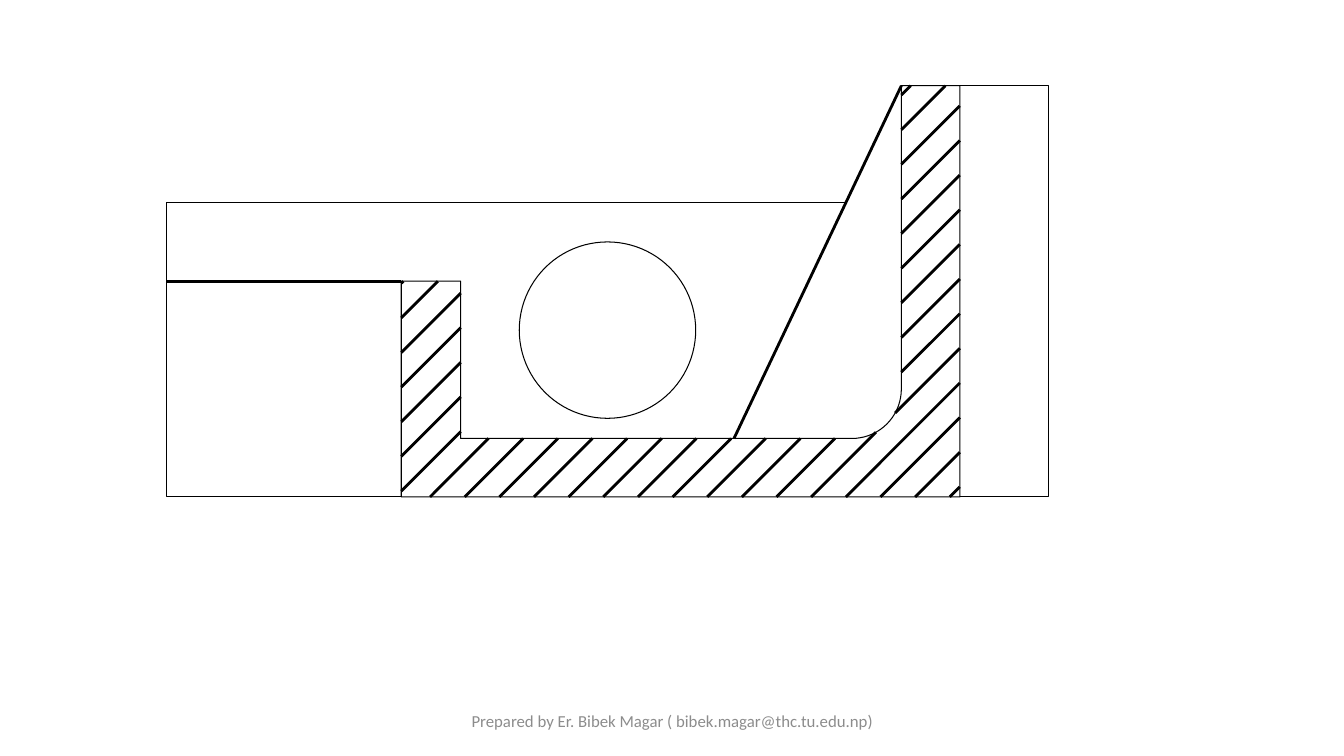
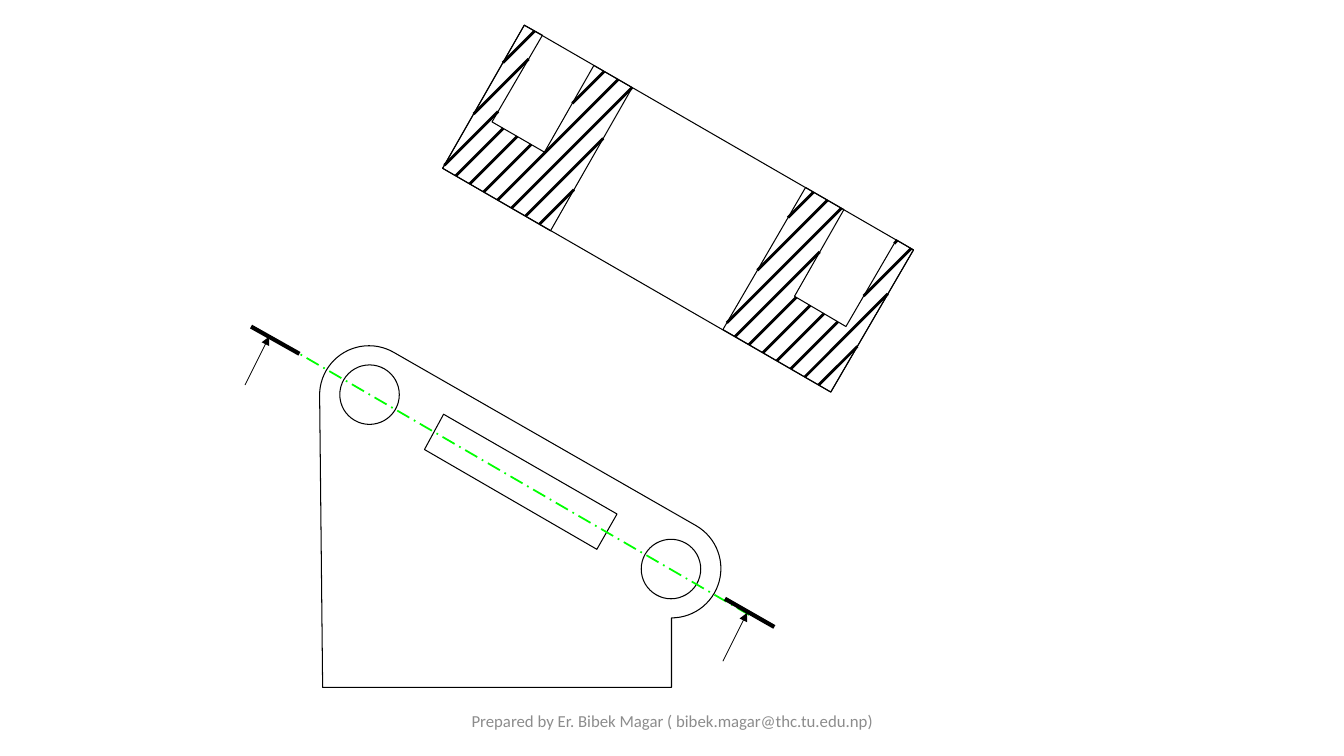
from math import cos, radians, sin

from lxml import etree
from pptx import Presentation
from pptx.dml.color import RGBColor
from pptx.enum.dml import MSO_LINE
from pptx.enum.shapes import MSO_CONNECTOR, MSO_SHAPE
from pptx.enum.text import MSO_ANCHOR, PP_ALIGN
from pptx.oxml.ns import qn
from pptx.util import Inches, Pt

# Shared look
BLACK = RGBColor(0x00, 0x00, 0x00)
GREEN = RGBColor(0x00, 0xFF, 0x00)
GRAY = RGBColor(0x8C, 0x8C, 0x8C)
FONT = "Calibri"
FOOTER = "Prepared by Er. Bibek Magar ( bibek.magar@thc.tu.edu.np)"
HAIRLINE = 0

STRAIGHT = MSO_CONNECTOR.STRAIGHT
OVAL = MSO_SHAPE.OVAL
LONG_DASH_DOT = MSO_LINE.LONG_DASH_DOT
MIDDLE = MSO_ANCHOR.MIDDLE
CENTER = PP_ALIGN.CENTER


def arc_points(center, radius, start, end, step=5):
    """Points on an arc; degrees run clockwise from the right."""
    return [(center[0] + radius * cos(radians(angle)),
             center[1] + radius * sin(radians(angle)))
            for angle in range(start, end + 1, step)]


class View:
    """A drawing view; points are inches from its left top corner."""

    def __init__(self, slide, left, top):
        self.shapes = slide.shapes
        self.left = left
        self.top = top

    def place(self, point):
        return Inches(self.left + point[0]), Inches(self.top + point[1])

    def line(self, start, end, width=HAIRLINE, color=BLACK, dash=None, arrow=False):
        connector = self.shapes.add_connector(
            STRAIGHT, *self.place(start), *self.place(end))
        connector.line.color.rgb = color
        connector.line.width = Pt(width)
        if dash is not None:
            connector.line.dash_style = dash
        properties = connector._element.spPr
        if arrow:
            tail = etree.SubElement(properties.find(qn("a:ln")), qn("a:tailEnd"))
            tail.set("type", "triangle")
        etree.SubElement(properties, qn("a:effectLst"))

    def outline(self, points, close=True):
        placed = [self.place(point) for point in points]
        builder = self.shapes.build_freeform(*placed[0], scale=1.0)
        builder.add_line_segments(placed[1:], close=close)
        self.finish(builder.convert_to_shape())

    def circle(self, left, top, diameter):
        size = Inches(diameter)
        self.finish(self.shapes.add_shape(OVAL, *self.place((left, top)), size, size))

    def finish(self, shape):
        shape.shadow.inherit = False
        shape.fill.background()
        shape.line.color.rgb = BLACK
        shape.line.width = Pt(HAIRLINE)

    def hatch(self, points, first, step, count):
        """Clip the 45 degree lines x + y = level to a closed outline."""
        for index in range(count):
            level = first + index * step
            crossings = []
            for (x1, y1), (x2, y2) in zip(points, points[1:] + points[:1]):
                before, after = x1 + y1 - level, x2 + y2 - level
                if (before < 0) != (after < 0):
                    share = before / (before - after)
                    crossings.append((x1 + share * (x2 - x1), y1 + share * (y2 - y1)))
            crossings.sort()
            for start, end in zip(crossings[::2], crossings[1::2]):
                self.line(start, end)


def add_footer(slide, left, top, width, height):
    box = slide.shapes.add_textbox(
        Inches(left), Inches(top), Inches(width), Inches(height))
    frame = box.text_frame
    frame.word_wrap = True
    frame.vertical_anchor = MIDDLE
    frame.text = FOOTER
    paragraph = frame.paragraphs[0]
    paragraph.alignment = CENTER
    font = paragraph.runs[0].font
    font.name = FONT
    font.size = Pt(12)
    font.color.rgb = GRAY


def add_drawing_slide(presentation):
    slide = presentation.slides.add_slide(presentation.slide_layouts[6])
    add_footer(slide, 4.42, 6.95, 4.5, 0.4)
    return slide


def draw_full_section(slide, left, top):
    view = View(slide, left, top)
    bottom, right = 4.08, 8.75

    # Cut material: left wall, floor, fillet and right wall
    fillet = arc_points((6.8, 3.01), 0.49, 0, 90)
    cut = [(2.33, 1.94), (2.92, 1.94), (2.92, 3.5), *reversed(fillet),
           (7.29, 0), (7.87, 0), (7.87, bottom), (2.33, bottom)]
    view.hatch(cut, first=4.29, step=7.56 / 22, count=23)
    view.outline(cut)

    # Edges behind the cut
    view.outline([(6.74, 1.16), (0, 1.16), (0, bottom), (2.33, bottom)], close=False)
    view.line((0, 1.94), (2.33, 1.94))
    view.line((7.29, 0), (5.63, 3.5))
    view.outline([(7.87, 0), (right, 0), (right, bottom), (7.87, bottom)], close=False)
    view.circle(3.5, 1.55, 1.75)


def draw_inclined_section(slide, left, top):
    view = View(slide, left, top)
    left_cut = [(0, 1.42), (0.81, 0), (0.99, 0.1), (0.49, 0.96),
                (1.01, 1.26), (1.5, 0.4), (1.88, 0.62), (1.07, 2.04)]
    right_cut = [(2.78, 3.02), (3.6, 1.61), (3.98, 1.83), (3.49, 2.69),
                 (4, 2.99), (4.5, 2.13), (4.67, 2.23), (3.85, 3.64)]
    for cut in (left_cut, right_cut):
        view.hatch(cut, first=0.97, step=6.33 / 29, count=30)
        view.outline(cut)
    view.outline([left_cut[0], left_cut[1], right_cut[6], right_cut[7]])


def draw_front_view(slide, left, top):
    view = View(slide, left, top)

    # Bracket with two rounded lobes, holes and a slot
    left_lobe = arc_points((0.74 + 0.49, 0.68), 0.49, 180, 300)
    right_lobe = arc_points((4.23, 2.4), 0.49, -60, 90)
    view.outline([*left_lobe, *right_lobe, (4.23, 3.58), (0.77, 3.58)])
    for hole_left, hole_top in ((0.94, 0.38), (3.93, 2.11)):
        view.circle(hole_left, hole_top, 0.59)
    view.outline([(1.97, 0.87), (3.69, 1.86), (3.49, 2.21), (1.78, 1.22)])

    # Cutting plane with thick ends and viewing arrows
    view.line((5, 2.86), (0.54, 0.27), 1.25, GREEN, LONG_DASH_DOT)
    for start, end in (((0.54, 0.27), (0.06, 0)), ((5.25, 2.98), (4.76, 2.7))):
        view.line(start, end, 3)
    for start, end in (((4.74, 3.32), (4.98, 2.84)), ((0, 0.58), (0.24, 0.1))):
        view.line(start, end, 0.5, arrow=True)


def main():
    presentation = Presentation()
    presentation.slide_width = Inches(13.33)
    presentation.slide_height = Inches(7.5)

    draw_full_section(add_drawing_slide(presentation), 1.65, 0.85)

    auxiliary_slide = add_drawing_slide(presentation)
    draw_inclined_section(auxiliary_slide, 4.39, 0.25)
    draw_front_view(auxiliary_slide, 2.43, 3.24)

    presentation.save("out.pptx")


if __name__ == "__main__":
    main()
